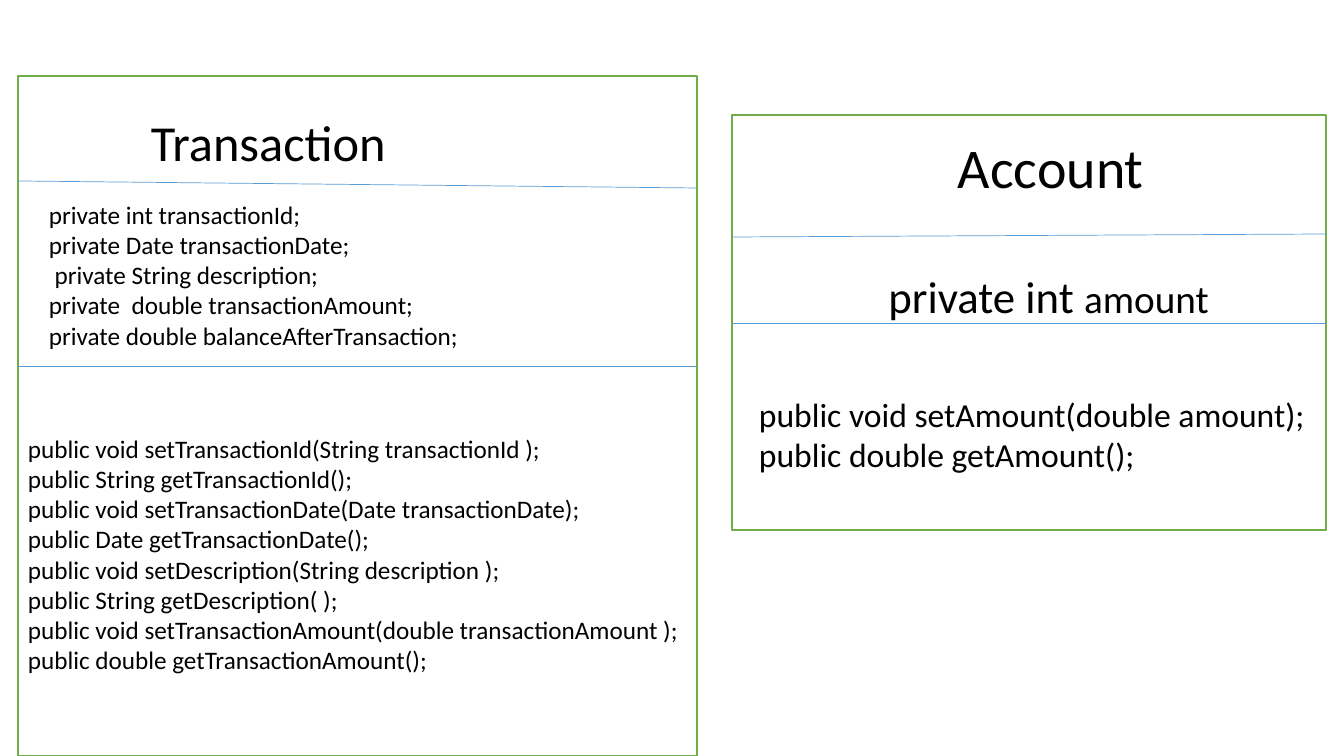
from pptx import Presentation
from pptx.dml.color import RGBColor
from pptx.enum.shapes import MSO_CONNECTOR, MSO_SHAPE
from pptx.enum.text import PP_ALIGN
from pptx.oxml.ns import qn
from pptx.util import Emu, Inches, Pt
from lxml import etree

RECTANGLE = MSO_SHAPE.RECTANGLE
STRAIGHT = MSO_CONNECTOR.STRAIGHT
LEFT, CENTER = PP_ALIGN.LEFT, PP_ALIGN.CENTER

PX = Inches(1) / 100.8
FONT = "Calibri"
COLORS = {"text": "000000", "fill": "FFFFFF", "border": "70AD47", "divider": "5B9BD5"}

# Boxes are (left, top, width, height); dividers are (y at left edge, y at right edge).
# Each section is (box, alignment, lines); each line is a list of (text, size) runs.
CLASSES = [
    {
        "frame": (732, 115, 594, 415),
        "dividers": [(237, 234), (323, 323)],
        "sections": [
            ((948, 128, 378, 78), LEFT, [[("Account", 40)]]),
            ((813, 264, 480, 65), CENTER, [[("private int ", 32), ("amount ", 28)]]),
            ((749, 389, 577, 122), LEFT, [
                [("public void setAmount(double amount);", 24)],
                [("public double getAmount();", 24)],
            ]),
        ],
    },
    {
        "frame": (18, 76, 679, 680),
        "dividers": [(181, 188), (366, 366)],
        "sections": [
            ((141, 106, 266, 72), LEFT, [[("Transaction", 36)]]),
            ((39, 194, 534, 162), LEFT, [[(attribute, 18)] for attribute in (
                "private int transactionId;",
                "private Date transactionDate;",
                " private String description;",
                "private  double transactionAmount;",
                "private double balanceAfterTransaction;",
            )]),
            ((18, 428, 679, 252), LEFT, [[(method, 18)] for method in (
                "public void setTransactionId(String transactionId );",
                "public String getTransactionId();",
                "public void setTransactionDate(Date transactionDate);",
                "public Date getTransactionDate();",
                "public void setDescription(String description );",
                "public String getDescription( );",
                "public void setTransactionAmount(double transactionAmount );",
                "public double getTransactionAmount();",
            )]),
        ],
    },
]


def px(*lengths):
    """Turn pixel lengths into EMU."""
    return [Emu(round(length * PX)) for length in lengths]


def color(key):
    """Look up a colour by its role."""
    return RGBColor.from_string(COLORS[key])


def add_frame(slide, box):
    """Draw the bordered outline of a class."""
    frame = slide.shapes.add_shape(RECTANGLE, *px(*box))
    frame.shadow.inherit = False
    frame.fill.solid()
    frame.fill.fore_color.rgb = color("fill")
    frame.line.color.rgb = color("border")
    frame.line.width = Pt(1)


def add_divider(slide, start, end):
    """Draw a thin line between two sections."""
    divider = slide.shapes.add_connector(STRAIGHT, *px(*start, *end))
    divider.line.color.rgb = color("divider")
    divider.line.width = Pt(0.5)
    etree.SubElement(divider._element.spPr, qn("a:effectLst"))


def add_section(slide, box, alignment, lines):
    """Write one section, a paragraph per line."""
    text = slide.shapes.add_textbox(*px(*box)).text_frame
    text.word_wrap = True
    for index, runs in enumerate(lines):
        paragraph = text.add_paragraph() if index else text.paragraphs[0]
        paragraph.alignment = alignment
        paragraph.font.name = FONT
        paragraph.font.color.rgb = color("text")
        paragraph.font.size = Pt(runs[0][1])
        for words, size in runs:
            run = paragraph.add_run()
            run.text = words
            if size != runs[0][1]:
                run.font.size = Pt(size)


def add_class(slide, frame, dividers, sections):
    """Draw a class with its dividers and sections."""
    left, _, width, _ = frame
    add_frame(slide, frame)
    for left_y, right_y in dividers:
        add_divider(slide, (left, left_y), (left + width, right_y))
    for section in sections:
        add_section(slide, *section)


presentation = Presentation()
presentation.slide_width, presentation.slide_height = px(1344, 756)
blank_layout = presentation.slide_layouts[6]
class_slide = presentation.slides.add_slide(blank_layout)
for class_parts in CLASSES:
    add_class(class_slide, **class_parts)
presentation.save("out.pptx")
